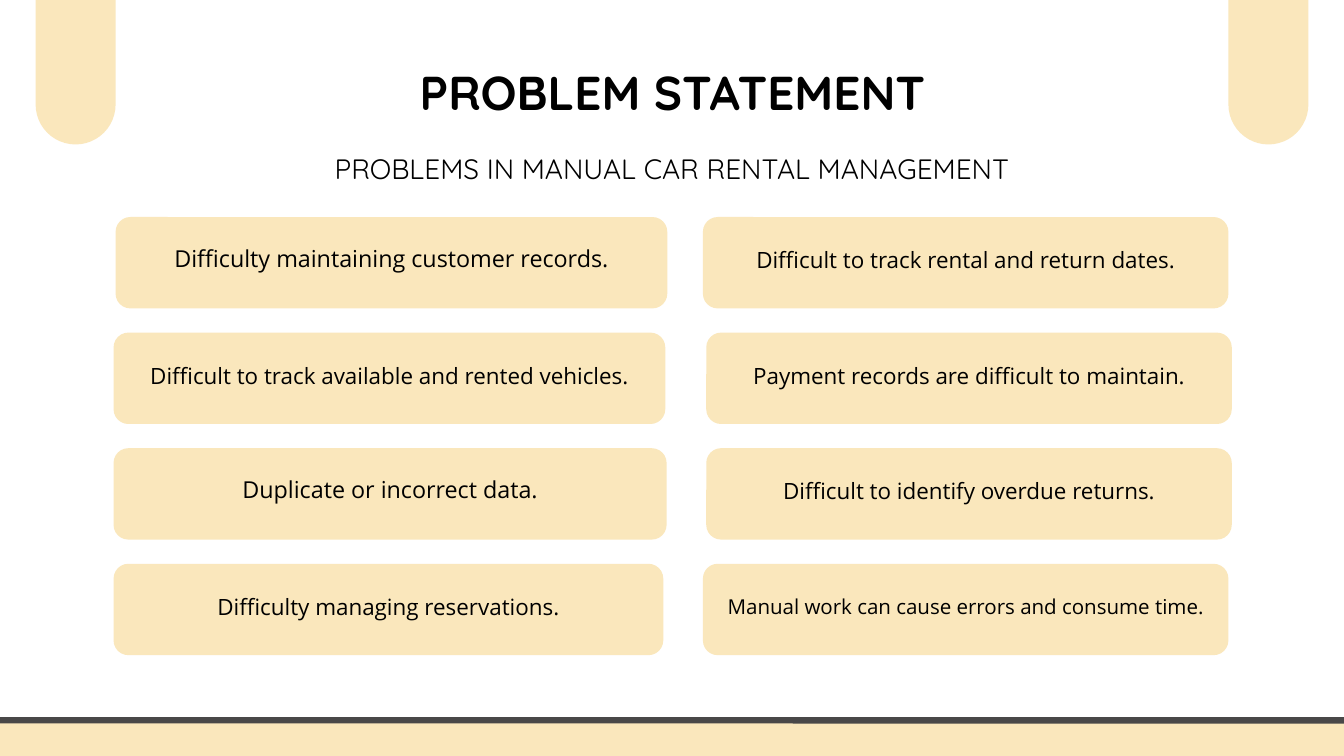
from pptx import Presentation
from pptx import util as u
from pptx.dml.color import RGBColor
from pptx.enum import shapes, text

HUES = {"cream": "FAE7BC", "slate": "494848", "ink": "000000"}
COLS, ROWS = 20, 11.25

deck = Presentation()
deck.slide_width, deck.slide_height = u.Inches(COLS), u.Inches(ROWS)
cell = deck.slide_width / COLS
slide = deck.slides.add_slide(deck.slide_layouts[5])


def block(left, top, wide, high, curve):
    """Add a cream rounded block; curve is the corner radius in grid cells."""
    spot = [round(n * cell) for n in (left, top, wide, high)]
    shape = slide.shapes.add_shape(shapes.MSO_SHAPE.ROUNDED_RECTANGLE, *spot)
    shape.adjustments[0] = curve / min(wide, high)
    shape.shadow.inherit = False
    shape.fill.solid()
    shape.fill.fore_color.rgb = RGBColor.from_string(HUES["cream"])
    shape.line.fill.background()
    return shape


def write(shape, words, face, size, anchor, pad=0, lift=0, bold=False):
    """Set one centred line; lift is extra space kept free below it."""
    frame = shape.text_frame
    frame.text = words
    frame.word_wrap = True
    frame.auto_size = text.MSO_AUTO_SIZE.NONE
    frame.vertical_anchor = anchor
    frame.margin_left = frame.margin_right = frame.margin_top = u.Inches(pad)
    frame.margin_bottom = u.Inches(pad + lift)
    line = frame.paragraphs[0]
    line.alignment = text.PP_ALIGN.CENTER
    line.line_spacing = u.Pt(round(size * 1.4, 1))
    font = line.runs[0].font
    font.name, font.size, font.bold = face, u.Pt(size), bold
    font.color.rgb = RGBColor.from_string(HUES["ink"])


# Heading
title = slide.shapes.title
title.left, title.top = round(3.87 * cell), round(0.79 * cell)
title.width, title.height = round(12.27 * cell), round(0.95 * cell)
write(title, "PROBLEM STATEMENT", "Quicksand", 50.9, text.MSO_ANCHOR.TOP, bold=True)

lead = slide.shapes.add_textbox(*[round(n * cell) for n in (3.99, 2.17, 12.02, 0.56)])
write(lead, "PROBLEMS IN MANUAL CAR RENTAL MANAGEMENT", "Quicksand", 30,
      text.MSO_ANCHOR.TOP)

# Tabs hanging from the top edge, and the bar along the bottom
TAB = 1.19
for left in (0.53, COLS - 0.53 - TAB):
    block(left, -1.08, TAB, 3.23, TAB / 2)

bar = block(-0.58, 10.72, COLS + 2 * 0.58, 0.9, 0.09)
bar.line.color.rgb = RGBColor.from_string(HUES["slate"])
bar.line.width = u.Pt(6.75)

# Problem cards: left, width, text size, words; one list per column
COLUMNS = [
    [
        (1.72, 8.21, 25, "Difficulty maintaining customer records."),
        (1.69, 8.21, 24, "Difficult to track available and rented vehicles."),
        (1.69, 8.23, 25, "Duplicate or incorrect data."),
        (1.69, 8.18, 24, "Difficulty managing reservations."),
    ],
    [
        (10.46, 7.82, 24, "Difficult to track rental and return dates."),
        (10.51, 7.82, 24, "Payment records are difficult to maintain."),
        (10.51, 7.82, 24, "Difficult to identify overdue returns."),
        (10.46, 7.82, 22, "Manual work can cause errors and consume time."),
    ],
]
TOP, HIGH, GAP = 3.23, 1.36, 0.36
for column in COLUMNS:
    for row, (left, wide, size, words) in enumerate(column):
        card = block(left, TOP + row * (HIGH + GAP), wide, HIGH, 0.22)
        write(card, words, "Open Sans", size, text.MSO_ANCHOR.MIDDLE,
              pad=0.06, lift=0.2 if size == 25 else 0.16)

deck.save("out.pptx")
